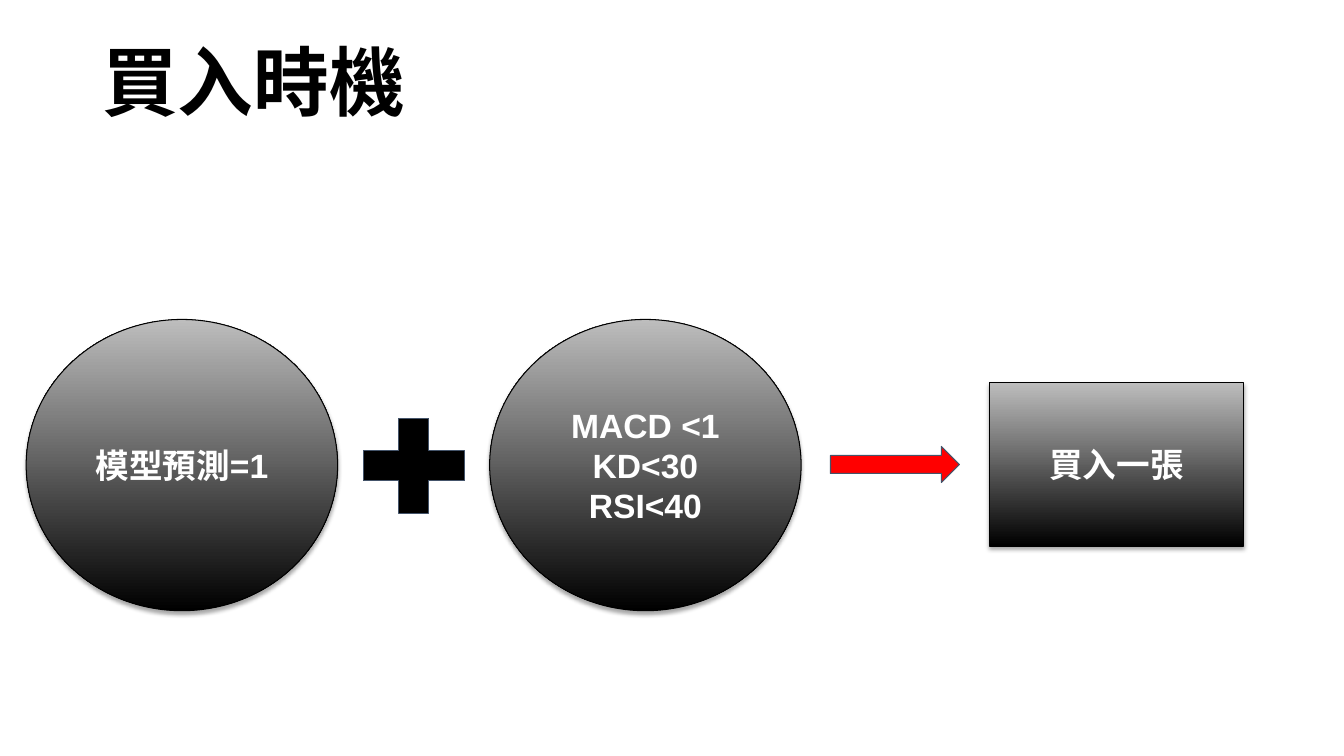
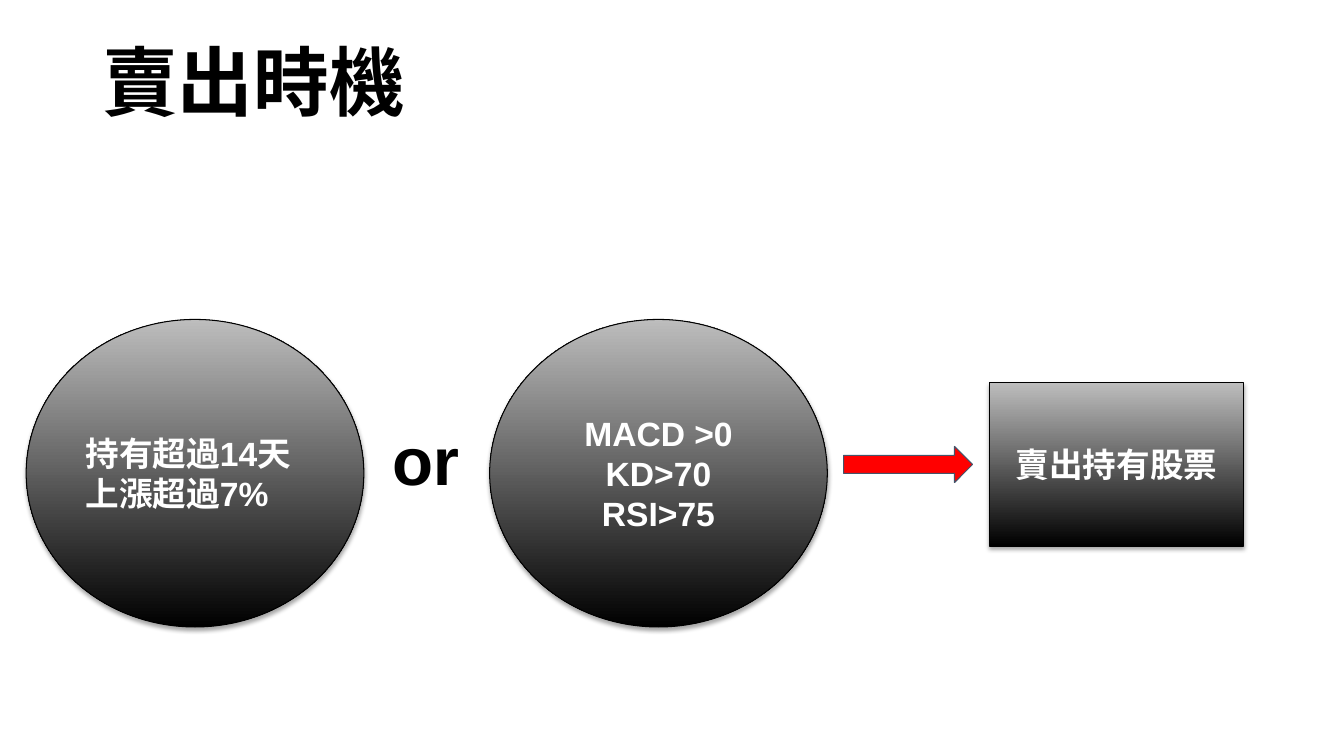
from lxml import etree
from pptx import Presentation
from pptx.dml.color import RGBColor
from pptx.enum.shapes import MSO_SHAPE as Shape
from pptx.enum.text import MSO_ANCHOR as Anchor, MSO_AUTO_SIZE as AutoSize, PP_ALIGN as Align
from pptx.oxml.ns import qn
from pptx.util import Cm, Pt

BLACK, WHITE, SILVER, RED, SLATE = "000000", "FFFFFF", "BDBDBD", "FF0000", "44546A"
TITLE_FONT, BODY_FONT = "Calibri", "Arial"
INSET = 0.25
CONDITION_LEFTS = (0.66, 12.34)
CONDITION_TOP = 8.05
ACTION_BOX = (24.94, 9.65, 6.4, 4.11)
ARROW_SIZE = (3.25, 0.91)
AXIS = ACTION_BOX[1] + ACTION_BOX[3] / 2


def color(value):
    """Turn a hex string into a colour."""
    return RGBColor.from_string(value)


def write(frame, lines, font, size, ink, align, anchor):
    """Fill a text frame with evenly styled bold lines."""
    frame.text = "\n".join(lines)
    frame.word_wrap = True
    frame.auto_size = AutoSize.NONE
    frame.vertical_anchor = anchor
    frame.margin_left = frame.margin_right = Cm(INSET)
    frame.margin_top = frame.margin_bottom = Cm(INSET)
    for paragraph in frame.paragraphs:
        paragraph.alignment = align
        for run in paragraph.runs:
            run.font.name = font
            run.font.size = Pt(size)
            run.font.bold = True
            run.font.color.rgb = color(ink)


def add_outlined(slide, kind, box, line):
    """Add a shadowless shape with a thin outline."""
    shape = slide.shapes.add_shape(kind, *map(Cm, box))
    shape.shadow.inherit = False
    shape.line.color.rgb = color(line)
    shape.line.width = Pt(0.75)
    return shape


def add_symbol(slide, kind, box, fill):
    """Add a flat symbol and return it."""
    symbol = add_outlined(slide, kind, box, SLATE)
    symbol.fill.solid()
    symbol.fill.fore_color.rgb = color(fill)
    return symbol


def add_step(slide, kind, box, lines, align=Align.CENTER):
    """Add a shaded step with a soft shadow and white text."""
    step = add_outlined(slide, kind, box, BLACK)
    step.fill.gradient()
    step.fill.gradient_angle = 90
    for stop, position, shade in zip(step.fill.gradient_stops, (0, 1), (BLACK, SILVER)):
        stop.position = position
        stop.color.rgb = color(shade)
    effects = step.element.spPr.find(qn("a:effectLst"))
    shadow = etree.SubElement(effects, qn("a:outerShdw"), blurRad=str(Pt(3.1)),
                              dist=str(Pt(1.8)), dir="5400000", rotWithShape="0")
    tint = etree.SubElement(shadow, qn("a:srgbClr"), val=BLACK)
    etree.SubElement(tint, qn("a:alpha"), val="35000")
    write(step.text_frame, lines, BODY_FONT, 24, WHITE, align, Anchor.MIDDLE)


def add_plus(slide, box):
    """Join two conditions with a plus sign."""
    plus = add_symbol(slide, Shape.MATH_PLUS, box, BLACK)
    plus.adjustments[0] = 0.235


def add_or(slide, box):
    """Join two conditions with the word or."""
    word = slide.shapes.add_textbox(*map(Cm, box))
    write(word.text_frame, ["or"], BODY_FONT, 48, BLACK, Align.LEFT, Anchor.TOP)


def add_title(slide, text):
    """Place and format the slide title."""
    title = slide.shapes.title
    title.left, title.top, title.width, title.height = map(Cm, (2.33, 1.02, 29.21, 2.29))
    write(title.text_frame, [text], TITLE_FONT, 54, BLACK, Align.LEFT, Anchor.MIDDLE)
    title.text_frame.paragraphs[0].line_spacing = 0.9


def add_timing_slide(deck, title, conditions, condition_size, first_align,
                     add_joint, joint_box, arrow_left, action):
    """Build a slide where two conditions lead to one action."""
    slide = deck.slides.add_slide(deck.slide_layouts[5])
    add_title(slide, title)
    add_joint(slide, joint_box)
    arrow_box = (arrow_left, AXIS - ARROW_SIZE[1] / 2, *ARROW_SIZE)
    add_symbol(slide, Shape.RIGHT_ARROW, arrow_box, RED)
    for left, lines, align in zip(CONDITION_LEFTS, conditions, (first_align, Align.CENTER)):
        add_step(slide, Shape.OVAL, (left, CONDITION_TOP, *condition_size), lines, align)
    add_step(slide, Shape.RECTANGLE, ACTION_BOX, [action])


def main():
    """Build and save the deck."""
    deck = Presentation()
    deck.slide_width, deck.slide_height = Cm(33.87), Cm(19.05)
    add_timing_slide(
        deck, "買入時機",
        (["模型預測=1"], ["MACD <1", "KD<30", "RSI<40"]), (7.85, 7.34), Align.CENTER,
        add_plus, (8.69, 10.11, 3.48, 3.25), 20.93, "買入一張")
    add_timing_slide(
        deck, "賣出時機",
        (["持有超過14天", "上漲超過7%"], ["MACD >0", "KD>70", "RSI>75"]), (8.51, 7.75), Align.LEFT,
        add_or, (9.63, 10.29, 2.9, 2.84), 21.26, "賣出持有股票")
    deck.save("out.pptx")


if __name__ == "__main__":
    main()
